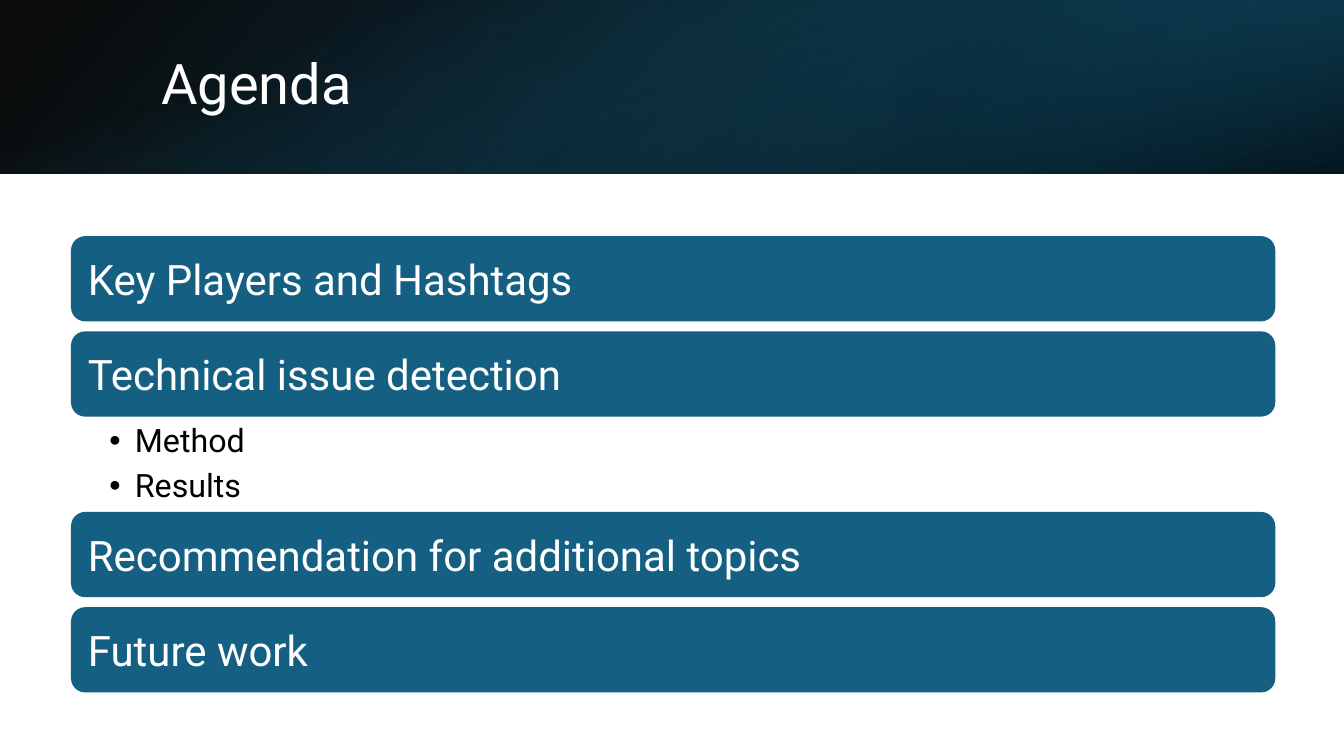
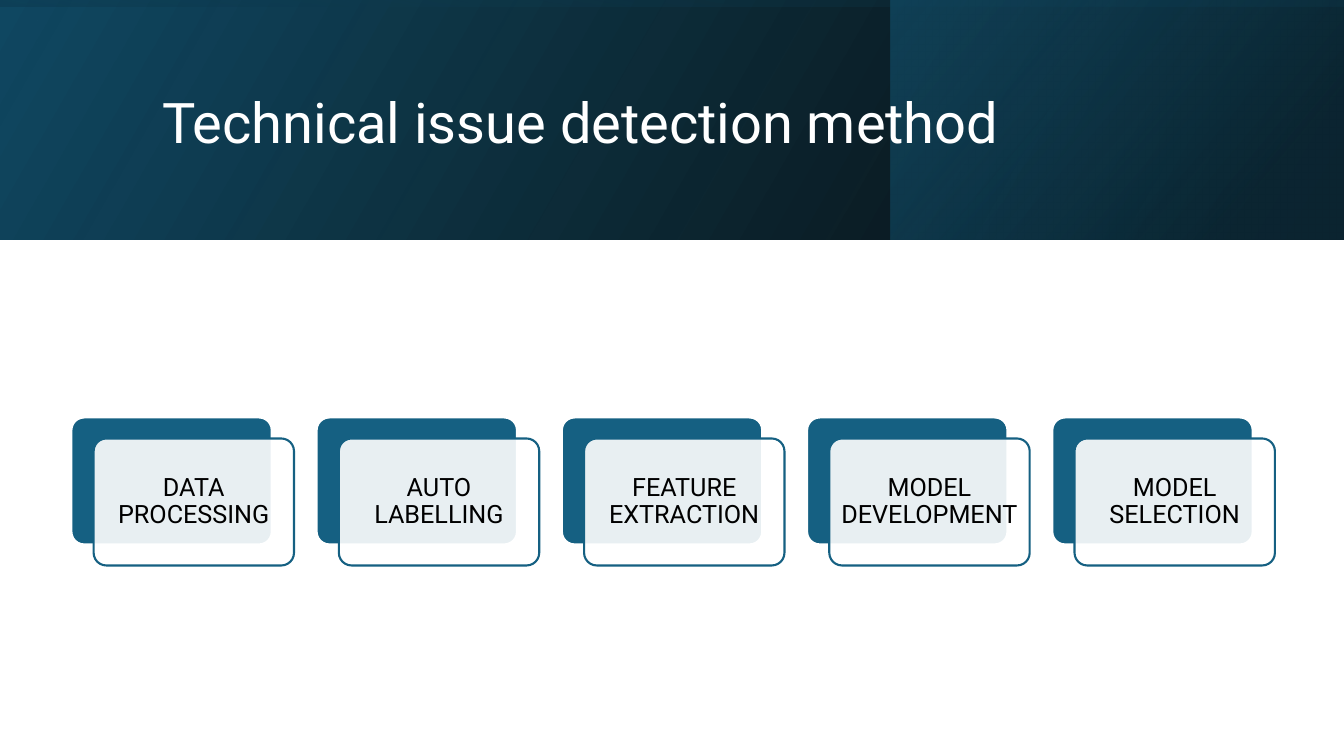
from dataclasses import dataclass

from lxml.etree import SubElement
from pptx import Presentation
from pptx.dml.color import RGBColor
from pptx.enum.shapes import MSO_SHAPE
from pptx.enum.text import MSO_ANCHOR, PP_ALIGN
from pptx.oxml.ns import qn
from pptx.util import Cm, Pt


@dataclass(frozen=True)
class Theme:
    font: str = "Roboto"
    white: str = "FFFFFF"
    black: str = "000000"
    teal: str = "156082"
    navy: str = "104862"
    deep: str = "0B3041"
    title: float = 40
    topic: float = 30
    subtopic: float = 23
    step: float = 18
    outline: float = 1.5


T = Theme()
WIDTH, HEIGHT = 33.87, 19.05

AGENDA = [
    ("Key Players and Hashtags", []),
    ("Technical issue detection", ["Method", "Results"]),
    ("Recommendation for additional topics", []),
    ("Future work", []),
]
STEPS = ["DATA PROCESSING", "AUTO LABELLING", "FEATURE EXTRACTION",
         "MODEL DEVELOPMENT", "MODEL SELECTION"]

# Layers: left, width, rotation, mirrored, gradient angle,
# stops of (position %, colour, opacity %)
AGENDA_BAND = dict(height=4.38, layers=[
    (0, WIDTH, 0, True, 140, [(0, T.black, 96), (100, T.navy, 100)]),
    (22.58, 11.29, 180, True, 320, [(19, T.deep, 68), (100, T.teal, 79)]),
    (0, WIDTH, 90, False, 340, [(23, T.teal, 0), (99, T.black, 74)]),
])
METHOD_BAND = dict(height=6.03, layers=[
    (0, WIDTH, 0, True, 330, [(0, T.black, 96), (100, T.navy, 100)]),
    (22.45, 11.4, 0, True, 320, [(19, T.deep, 68), (100, T.teal, 48)]),
    (0, WIDTH, 270, True, 350, [(23, T.navy, 16), (99, T.black, 45)]),
])


def add_box(slide, shape, box, fill=None, line=None):
    sp = slide.shapes.add_shape(shape, *map(Cm, box))
    sp.shadow.inherit = False
    if fill:
        sp.fill.solid()
        sp.fill.fore_color.rgb = RGBColor.from_string(fill)
    else:
        sp.fill.background()
    if line:
        sp.line.color.rgb = RGBColor.from_string(line)
        sp.line.width = Pt(T.outline)
    else:
        sp.line.fill.background()
    return sp


def set_opacity(color, percent):
    SubElement(color, qn("a:alpha")).set("val", str(percent * 1000))


def set_gradient(sp, angle, stops):
    """Fill with a linear gradient whose stops carry their own opacity."""
    sp.fill.gradient()
    grad = sp._element.spPr.find(qn("a:gradFill"))
    for child in list(grad):
        grad.remove(child)
    stop_list = SubElement(grad, qn("a:gsLst"))
    for position, color, opacity in stops:
        gs = SubElement(stop_list, qn("a:gs"), pos=str(position * 1000))
        set_opacity(SubElement(gs, qn("a:srgbClr"), val=color), opacity)
    SubElement(grad, qn("a:lin"), ang=str(angle * 60000), scaled="0")


def write(sp, lines, size, color, insets, align=PP_ALIGN.LEFT,
          anchor=MSO_ANCHOR.MIDDLE, **paragraph_format):
    tf = sp.text_frame
    left, top, right, bottom = map(Cm, insets)
    frame_format = dict(word_wrap=True, vertical_anchor=anchor, margin_left=left,
                        margin_top=top, margin_right=right, margin_bottom=bottom)
    for name, value in frame_format.items():
        setattr(tf, name, value)
    for i, line in enumerate(lines):
        p = tf.add_paragraph() if i else tf.paragraphs[0]
        p.alignment = align
        for name, value in paragraph_format.items():
            setattr(p, name, value)
        r = p.add_run()
        r.text = line
        for name, value in dict(name=T.font, size=Pt(size)).items():
            setattr(r.font, name, value)
        r.font.color.rgb = RGBColor.from_string(color)
    return tf


def add_bullets(tf, indent):
    for p in tf.paragraphs:
        pPr = p._p.get_or_add_pPr()
        pPr.set("marL", str(Cm(indent)))
        pPr.set("indent", str(-Cm(indent)))
        SubElement(pPr, qn("a:buFont"), typeface="Arial")
        SubElement(pPr, qn("a:buChar"), char="•")


def add_titled_slide(prs, title, title_box, band):
    slide = prs.slides.add_slide(prs.slide_layouts[6])
    height = band["height"]
    for left, width, rotation, mirrored, angle, stops in band["layers"]:
        box = (left, 0, width, height)
        if rotation % 180:  # a quarter turn swaps the sides about the centre
            shift = (width - height) / 2
            box = (left + shift, -shift, height, width)
        sp = add_box(slide, MSO_SHAPE.RECTANGLE, box)
        sp.rotation = rotation
        if mirrored:
            sp._element.spPr.xfrm.set("flipH", "1")
        set_gradient(sp, angle, stops)
    tb = slide.shapes.add_textbox(*map(Cm, title_box))
    write(tb, [title], T.title, T.white, (0.25, 0.13, 0.25, 0.13), line_spacing=0.9)
    return slide


def add_agenda(slide):
    left, top, width, bar, gap, sublist = 1.79, 5.95, 30.35, 2.15, 0.25, 2.4
    for topic, subtopics in AGENDA:
        sp = add_box(slide, MSO_SHAPE.ROUNDED_RECTANGLE, (left, top, width, bar), T.teal)
        write(sp, [topic], T.topic, T.white, (0.32, 0.3, 0.32, 0.3))
        top += bar
        if subtopics:
            tb = slide.shapes.add_textbox(*map(Cm, (left, top, width, sublist)))
            tf = write(tb, subtopics, T.subtopic, T.black, (0.97, 0.1, 0.58, 0.1),
                       anchor=MSO_ANCHOR.TOP, space_after=Pt(4.6))
            add_bullets(tf, 0.64)
            top += sublist
        else:
            top += gap


def add_steps(slide):
    left, top, width, height, pitch = 1.8, 10.52, 5.05, 3.2, 6.18
    dx, dy = 0.56, 0.53
    for i, step in enumerate(STEPS):
        x = left + i * pitch
        back = add_box(slide, MSO_SHAPE.ROUNDED_RECTANGLE,
                       (x, top, width, height), T.teal, T.white)
        front = add_box(slide, MSO_SHAPE.ROUNDED_RECTANGLE,
                        (x + dx, top + dy, width, height), T.white, T.teal)
        for card in (back, front):
            card.adjustments[0] = 0.1
        fill = front._element.spPr.find(qn("a:solidFill"))
        set_opacity(fill[0], 90)
        write(front, [step], T.step, T.black, (0.1,) * 4,
              align=PP_ALIGN.CENTER, line_spacing=0.9)


def main():
    prs = Presentation()
    prs.slide_width, prs.slide_height = Cm(WIDTH), Cm(HEIGHT)
    add_agenda(add_titled_slide(
        prs, "Agenda", (3.82, 0.95, 27.9, 2.44), AGENDA_BAND))
    add_steps(add_titled_slide(
        prs, "Technical issue detection method", (3.84, 0.97, 27, 4.37), METHOD_BAND))
    prs.save("out.pptx")


if __name__ == "__main__":
    main()
